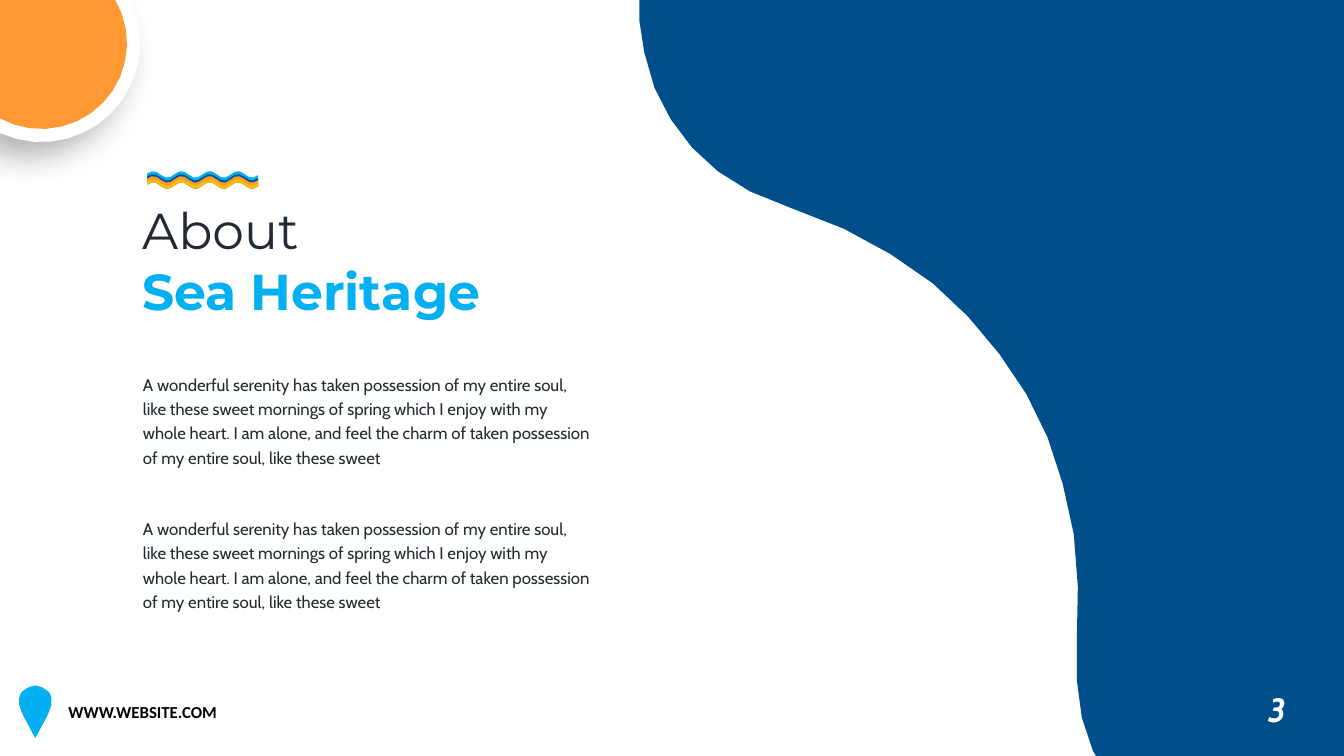
import math

from lxml import etree
from pptx import Presentation
from pptx import util as u
from pptx.dml.color import RGBColor
from pptx.enum import text
from pptx.oxml import ns

NAVY = RGBColor(0x00, 0x4F, 0x8A)
SKY = RGBColor(0x00, 0xB0, 0xF0)
ORANGE = RGBColor(0xFF, 0x99, 0x33)
AMBER = RGBColor(0xFF, 0xC0, 0x00)
INK = RGBColor(0x22, 0x2A, 0x35)
WHITE = RGBColor(0xFF, 0xFF, 0xFF)
BLACK = RGBColor(0x00, 0x00, 0x00)

COAST = [(13.33, 0), (6.34, 0), (6.34, 0.2), (6.39, 0.52), (6.49, 0.87),
         (6.65, 1.18), (6.86, 1.46), (7.12, 1.7), (7.44, 1.9), (7.81, 2.05),
         (7.86, 2.07), (8.37, 2.27), (8.83, 2.52), (9.25, 2.81), (9.6, 3.14),
         (9.91, 3.51), (10.18, 3.91), (10.39, 4.34), (10.54, 4.8),
         (10.65, 5.3), (10.69, 5.82), (10.68, 6.37), (10.68, 6.75),
         (10.73, 7.12), (10.84, 7.45), (10.87, 7.5), (13.33, 7.5)]
PIN_CENTRE = 0.35
PIN_HALF = [(0, 6.8), (0.04, 6.81), (0.07, 6.82), (0.1, 6.84), (0.13, 6.86),
            (0.15, 6.89), (0.16, 6.93), (0.16, 6.99), (0.14, 7.05),
            (0.11, 7.12), (0.07, 7.19), (0.03, 7.27), (0, 7.32)]
BODY = ("A wonderful serenity has taken possession of my entire soul, like "
        "these sweet mornings of spring which I enjoy with my whole heart. "
        "I am alone, and feel the charm of taken possession of my entire "
        "soul, like these sweet")


def sun_points(radius, cx=0.41, cy=0.43, steps=14):
    """Outline a disc cut off by the top and left slide edges."""
    start, end = math.asin(-cy / radius), math.acos(-cx / radius)
    angles = [start + (end - start) * i / steps for i in range(steps + 1)]
    return [(0, 0)] + [(cx + radius * math.cos(a), cy + radius * math.sin(a))
                       for a in angles]


def wave_points(top, bottom=1.84, left=1.46, right=2.56, steps=24):
    """Outline a band between two parallel sine waves."""
    xs = [left + (right - left) * i / steps for i in range(steps + 1)]

    def edge(middle):
        return [(x, middle - 0.033 * math.sin(2 * math.pi * (x - 1.73) / 0.28))
                for x in xs]
    return edge(top) + edge(bottom)[::-1]


class SlideBuilder:
    """Draw styled elements on the current slide."""

    def __init__(self, prs):
        self.s = prs.slides.add_slide(prs.slide_layouts[5])

    def outline(self, points, color):
        pts = [(u.Inches(x), u.Inches(y)) for x, y in points]
        builder = self.s.shapes.build_freeform(*pts[0])
        builder.add_line_segments(pts[1:], close=True)
        sp = builder.convert_to_shape()
        sp.shadow.inherit = False
        sp.fill.solid()
        sp.fill.fore_color.rgb = color
        sp.line.fill.background()
        return sp

    def soft_shadow(self, sp):
        effects = sp.element.spPr.find(ns.qn("a:effectLst"))
        shadow = etree.SubElement(
            effects, ns.qn("a:outerShdw"), blurRad=str(u.Pt(23)),
            dist=str(u.Pt(15)), dir=str(135 * 60000), algn="tr",
            rotWithShape="0")
        color = etree.SubElement(shadow, ns.qn("a:srgbClr"), val=str(BLACK))
        etree.SubElement(color, ns.qn("a:alpha"), val="29000")

    def run(self, p, words, font, size, color, bold=False, italic=False):
        r = p.add_run()
        r.text = words
        r.font.name, r.font.size = font, u.Pt(size)
        r.font.bold, r.font.italic = bold, italic
        r.font.color.rgb = color

    def title(self, box, lines):
        sp = self.s.shapes.title
        sp.left, sp.top, sp.width, sp.height = map(u.Inches, box)
        tf = sp.text_frame
        tf.word_wrap = True
        tf.auto_size = text.MSO_AUTO_SIZE.NONE
        tf.vertical_anchor = text.MSO_ANCHOR.TOP
        for i, (words, color, bold) in enumerate(lines):
            p = tf.add_paragraph() if i else tf.paragraphs[0]
            p.alignment = text.PP_ALIGN.LEFT
            self.run(p, words, "Montserrat", 36, color, bold)

    def label(self, box, words, font, size, color, wrap=True, spacing=1.0,
              **style):
        tf = self.s.shapes.add_textbox(*map(u.Inches, box)).text_frame
        tf.word_wrap = wrap
        p = tf.paragraphs[0]
        p.line_spacing = spacing
        self.run(p, words, font, size, color, **style)


def main():
    prs = Presentation()
    prs.slide_width, prs.slide_height = u.Inches(13.33), u.Inches(7.5)
    s = SlideBuilder(prs)

    s.outline(COAST, NAVY)
    s.label((12.48, 6.79, 0.4, 0.5), "3", "Cabin", 24, WHITE, wrap=False,
            bold=True, italic=True)

    right = [(PIN_CENTRE + dx, y) for dx, y in PIN_HALF]
    left = [(PIN_CENTRE - dx, y) for dx, y in PIN_HALF[-2:0:-1]]
    s.outline(right + left, SKY)
    s.label((0.58, 6.91, 2.53, 0.3), "WWW.WEBSITE.COM", "Calibri", 12, BLACK,
            bold=True)

    s.soft_shadow(s.outline(sun_points(0.98), WHITE))
    s.outline(sun_points(0.85), ORANGE)

    s.title((1.31, 1.93, 3.77, 1.31),
            [("About", INK, False), ("Sea Heritage", SKY, True)])
    for top, color in ((1.73, SKY), (1.76, NAVY), (1.78, ORANGE),
                       (1.81, AMBER)):
        s.outline(wave_points(top), color)
    for top in (3.63, 5.06):
        s.label((1.32, top, 4.66, 1.05), BODY, "Cabin", 12, INK, spacing=1.2)

    prs.save("out.pptx")


if __name__ == "__main__":
    main()
